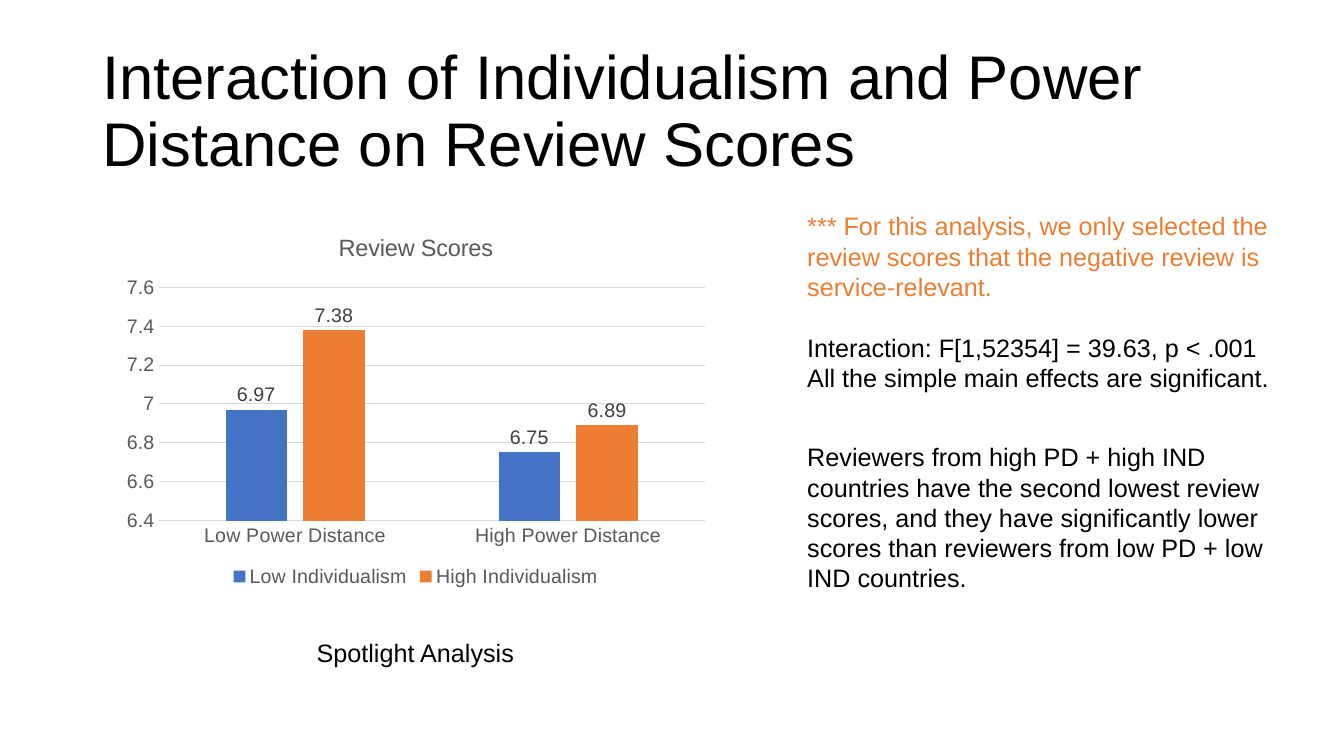
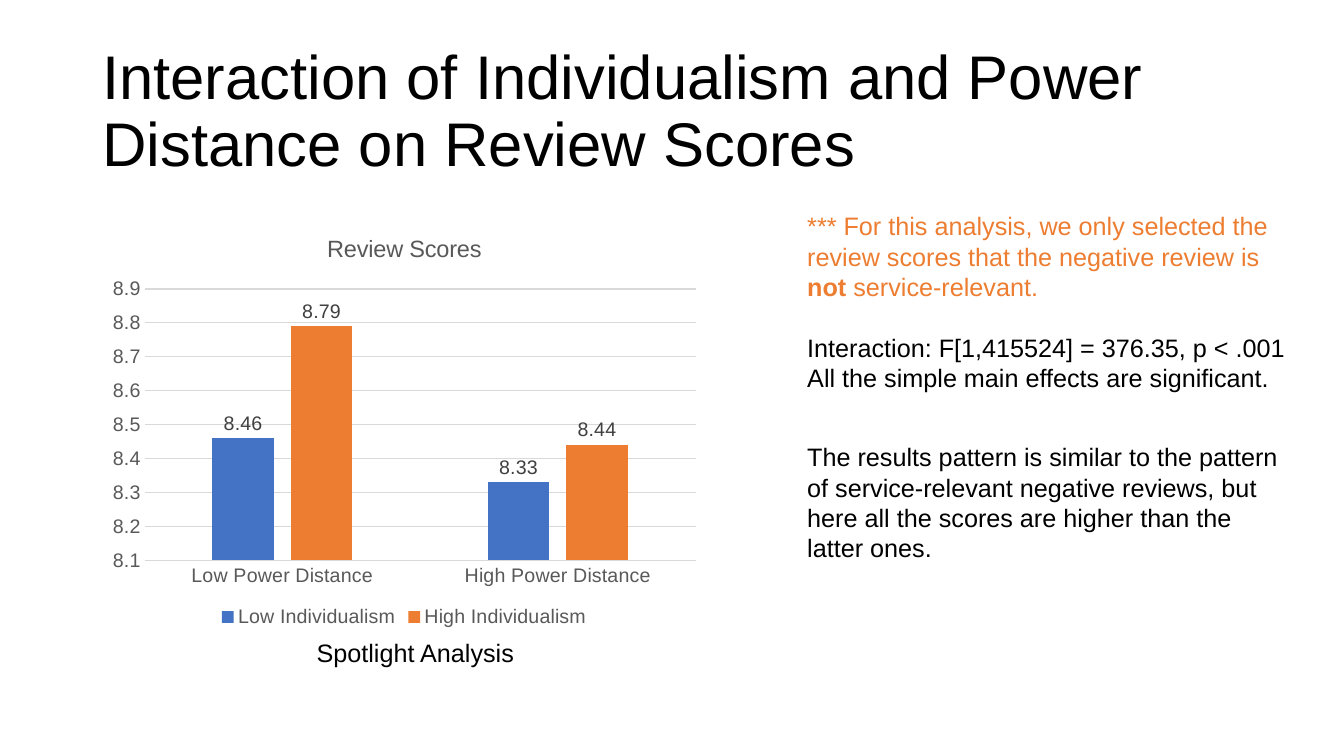
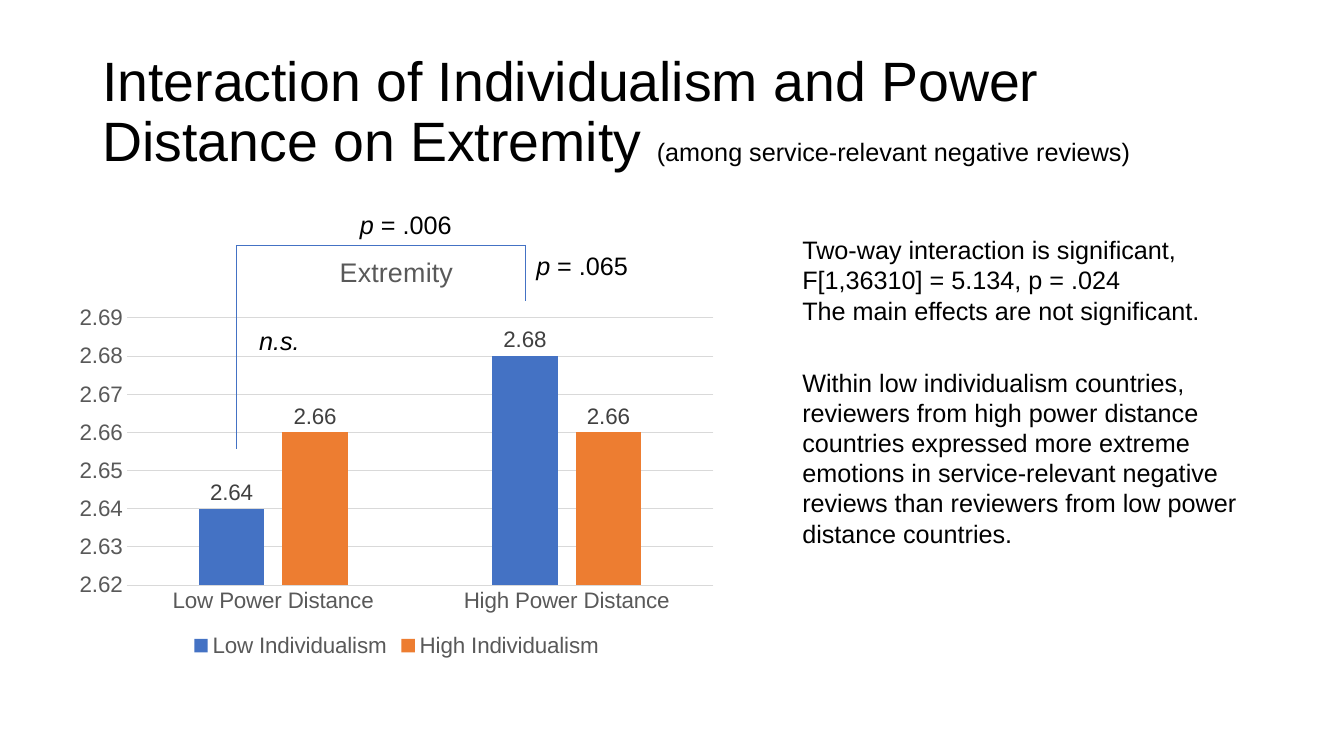
import dataclasses
import itertools
import typing

import lxml.etree
import pptx
import pptx.chart.data
import pptx.dml.color
import pptx.enum.chart
import pptx.enum.shapes
import pptx.enum.text
import pptx.oxml.ns
import pptx.util

Pt = pptx.util.Pt


@dataclasses.dataclass(frozen=True)
class Theme:
    font: str = "Arial"
    ink: str = "000000"
    low: str = "4472C4"
    high: str = "ED7D31"
    chart_text: str = "595959"
    value_text: str = "404040"
    grid: str = "D9D9D9"
    title_size: float = 44
    long_title_size: float = 39.6
    body_size: float = 18
    chart_size: float = 14
    large_chart_size: float = 16
    chart_title_ratio: float = 1.2
    hairline: float = 0.5
    grid_line: float = 0.75


THEME = Theme()


class Box(typing.NamedTuple):
    left: float
    top: float
    width: float
    height: float

    def lengths(self) -> list[int]:
        return [Pt(value) for value in self]


class Run(typing.NamedTuple):
    text: str
    bold: bool = False
    italic: bool = False
    size: float | None = None


@dataclasses.dataclass(frozen=True)
class ScoreChart:
    title: str
    box: Box
    low: tuple[float, float]
    high: tuple[float, float]
    minimum: float
    maximum: float
    step: float
    size: float = THEME.chart_size


@dataclasses.dataclass(frozen=True)
class ReviewScores:
    chart: ScoreChart
    selection: tuple[Run, ...]
    interaction: str
    interaction_width: float
    finding: str
    finding_height: float


class Label(typing.NamedTuple):
    box: Box
    runs: tuple[Run, ...]


TITLE_BOX = Box(66, 28.75, 828, 104.38)
NOTES_LEFT, NOTES_WIDTH = 569.5, 358.5
CATEGORIES = ("Low Power Distance", "High Power Distance")
SELECTION = "*** For this analysis, we only selected the review scores that the negative review is "

REVIEW_SCORES = (
    ReviewScores(
        ScoreChart("Review Scores", Box(82, 154, 430, 268.5), (6.97, 6.75), (7.38, 6.89), 6.4, 7.6, 0.2),
        (Run(SELECTION + "service-relevant."),),
        "Interaction: F[1,52354] = 39.63, p < .001",
        348,
        "Reviewers from high PD + high IND countries have the second lowest review scores, and they "
        "have significantly lower scores than reviewers from low PD + low IND countries.",
        116.5,
    ),
    ReviewScores(
        ScoreChart("Review Scores", Box(72, 154, 433.5, 297.5), (8.46, 8.33), (8.79, 8.44), 8.1, 8.9, 0.1),
        (Run(SELECTION), Run("not", bold=True), Run(" service-relevant.")),
        "Interaction: F[1,415524] = 376.35, p < .001",
        358.5,
        "The results pattern is similar to the pattern of service-relevant negative reviews, but here "
        "all the scores are higher than the latter ones.",
        94.5,
    ),
)

EXTREMITY = ScoreChart(
    "Extremity",
    Box(47.5, 168.5, 471.5, 304.5),
    (2.64, 2.68),
    (2.66, 2.66),
    2.62,
    2.69,
    0.01,
    size=THEME.large_chart_size,
)
P_SIGN = Run("p", italic=True)
SIGNIFICANCE = (
    Label(Box(376, 175, 80.5, 29), (P_SIGN, Run(" = .065"))),
    Label(Box(178, 229, 44, 29), (Run("n.s.", italic=True),)),
    Label(Box(250, 146, 80.5, 29), (P_SIGN, Run(" = .006"))),
)
BRACKET = ((168.5, 320.5), (168.5, 175), (375.5, 175), (375.5, 215))


def rgb(color: str) -> pptx.dml.color.RGBColor:
    return pptx.dml.color.RGBColor.from_string(color)


def style(font, size: float, color: str, bold: bool = False, italic: bool = False) -> None:
    font.name = THEME.font
    font.size = Pt(size)
    font.color.rgb = rgb(color)
    font.bold = bold
    font.italic = italic


def write(
    slide,
    box: Box,
    *paragraphs: tuple[Run, ...],
    size: float = THEME.body_size,
    color: str = THEME.ink,
    wrap: bool = True,
    middle: bool = False,
    line_spacing: float = 1.0,
) -> None:
    """Add a text box; each paragraph is a tuple of runs."""
    frame = slide.shapes.add_textbox(*box.lengths()).text_frame
    frame.word_wrap = wrap
    anchors = pptx.enum.text.MSO_ANCHOR
    frame.vertical_anchor = anchors.MIDDLE if middle else anchors.TOP
    for index, runs in enumerate(paragraphs):
        paragraph = frame.add_paragraph() if index else frame.paragraphs[0]
        paragraph.line_spacing = line_spacing
        for part in runs:
            run = paragraph.add_run()
            run.text = part.text
            style(run.font, part.size or size, color, part.bold, part.italic)


def add_title(slide, *runs: Run, size: float = THEME.title_size) -> None:
    write(slide, TITLE_BOX, runs, size=size, middle=True, line_spacing=0.9)


def set_line(line, color: str, width: float) -> None:
    line.color.rgb = rgb(color)
    line.width = Pt(width)


def add_score_chart(slide, scores: ScoreChart) -> None:
    kinds = pptx.enum.chart
    data = pptx.chart.data.CategoryChartData()
    data.categories = CATEGORIES
    data.add_series("Low Individualism", scores.low)
    data.add_series("High Individualism", scores.high)
    chart = slide.shapes.add_chart(
        kinds.XL_CHART_TYPE.COLUMN_CLUSTERED, *scores.box.lengths(), data
    ).chart
    style(chart.font, scores.size, THEME.chart_text)

    chart.has_title = True
    heading = chart.chart_title.text_frame
    heading.text = scores.title
    style(heading.paragraphs[0].runs[0].font, scores.size * THEME.chart_title_ratio, THEME.chart_text)
    chart.chart_title.include_in_layout = False

    chart.has_legend = True
    chart.legend.position = kinds.XL_LEGEND_POSITION.BOTTOM
    chart.legend.include_in_layout = False
    style(chart.legend.font, scores.size, THEME.chart_text)

    for axis in (chart.category_axis, chart.value_axis):
        axis.major_tick_mark = axis.minor_tick_mark = kinds.XL_TICK_MARK.NONE
        style(axis.tick_labels.font, scores.size, THEME.chart_text)
    set_line(chart.category_axis.format.line, THEME.grid, THEME.grid_line)
    values = chart.value_axis
    values.minimum_scale, values.maximum_scale = scores.minimum, scores.maximum
    values.major_unit = scores.step
    values.format.line.fill.background()
    set_line(values.major_gridlines.format.line, THEME.grid, THEME.grid_line)

    plot = chart.plots[0]
    plot.gap_width, plot.overlap = 219, -27
    plot.vary_by_categories = False
    for series, color in zip(plot.series, (THEME.low, THEME.high)):
        series.format.fill.solid()
        series.format.fill.fore_color.rgb = rgb(color)
        series.invert_if_negative = False
        labels = series.data_labels
        labels.show_value = True
        labels.position = kinds.XL_LABEL_POSITION.OUTSIDE_END
        style(labels.font, scores.size, THEME.value_text)


def add_bracket(slide) -> None:
    for start, end in itertools.pairwise(BRACKET):
        ends = [Pt(value) for value in start + end]
        side = slide.shapes.add_connector(pptx.enum.shapes.MSO_CONNECTOR.STRAIGHT, *ends)
        set_line(side.line, THEME.low, THEME.hairline)
        lxml.etree.SubElement(side._element.spPr, pptx.oxml.ns.qn("a:effectLst"))


def build_review_scores(slide, content: ReviewScores) -> None:
    add_title(slide, Run("Interaction of Individualism and Power Distance on Review Scores"))
    write(slide, Box(219, 451.5, 157, 29), (Run("Spotlight Analysis"),), wrap=False)
    write(
        slide,
        Box(NOTES_LEFT, 233.5, content.interaction_width, 51),
        (Run(content.interaction),),
        (Run("All the simple main effects are significant."),),
        wrap=False,
    )
    write(slide, Box(NOTES_LEFT, 312, NOTES_WIDTH, content.finding_height), (Run(content.finding),))
    write(slide, Box(NOTES_LEFT, 147, NOTES_WIDTH, 72.5), content.selection, color=THEME.high)
    add_score_chart(slide, content.chart)


def build_extremity(slide) -> None:
    add_title(
        slide,
        Run("Interaction of Individualism and Power Distance on Extremity "),
        Run("(among service-relevant negative reviews)", size=THEME.body_size),
        size=THEME.long_title_size,
    )
    add_score_chart(slide, EXTREMITY)
    write(
        slide,
        Box(566, 164, 328.5, 72.5),
        (Run("Two-way interaction is significant, F[1,36310] = 5.134, p = .024"),),
        (Run("The main effects are not significant."),),
    )
    for label in SIGNIFICANCE:
        write(slide, label.box, label.runs, wrap=False)
    add_bracket(slide)
    finding = (
        "Within low individualism countries, reviewers from high power distance countries expressed "
        "more extreme emotions in service-relevant negative reviews than reviewers from low power "
        "distance countries."
    )
    write(slide, Box(566, 258.5, 332.5, 138), (Run(finding),))


def main() -> None:
    deck = pptx.Presentation()
    deck.slide_width, deck.slide_height = Pt(960), Pt(540)
    blank = deck.slide_layouts[6]
    for content in REVIEW_SCORES:
        build_review_scores(deck.slides.add_slide(blank), content)
    build_extremity(deck.slides.add_slide(blank))
    deck.save("out.pptx")


if __name__ == "__main__":
    main()
